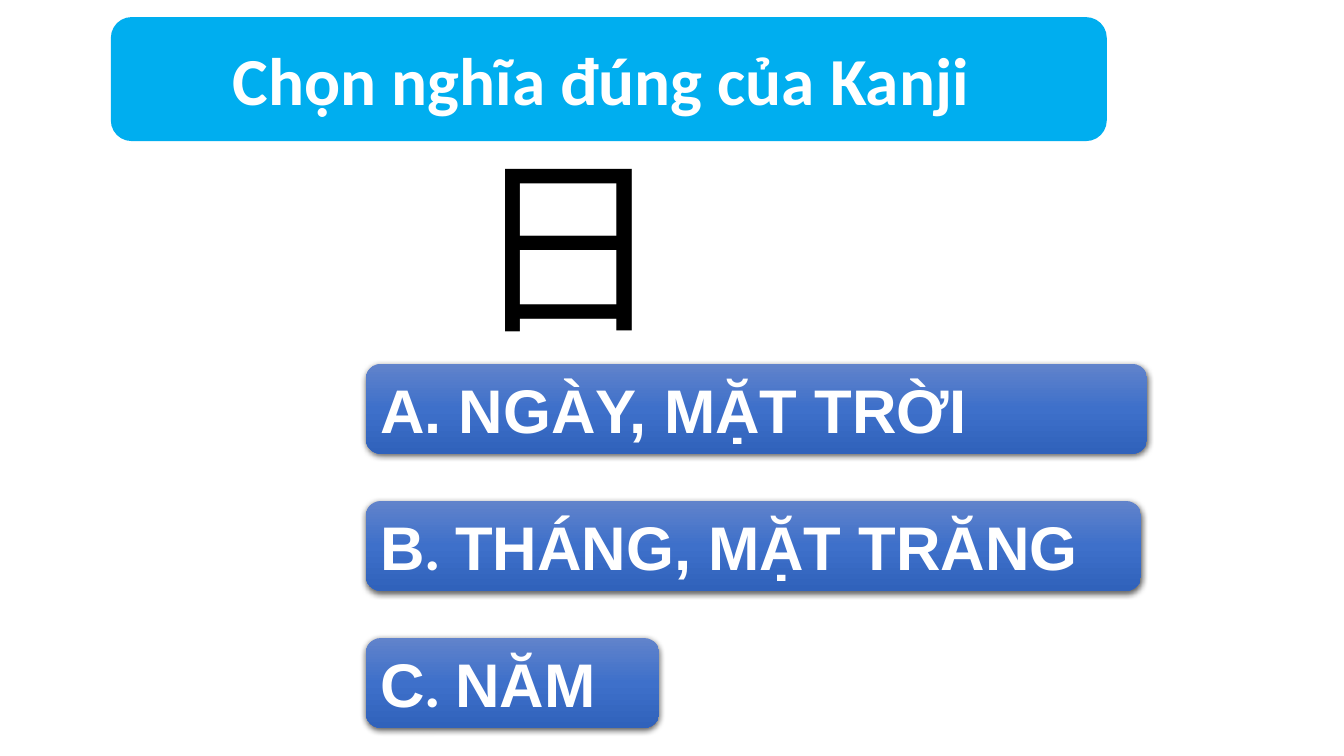
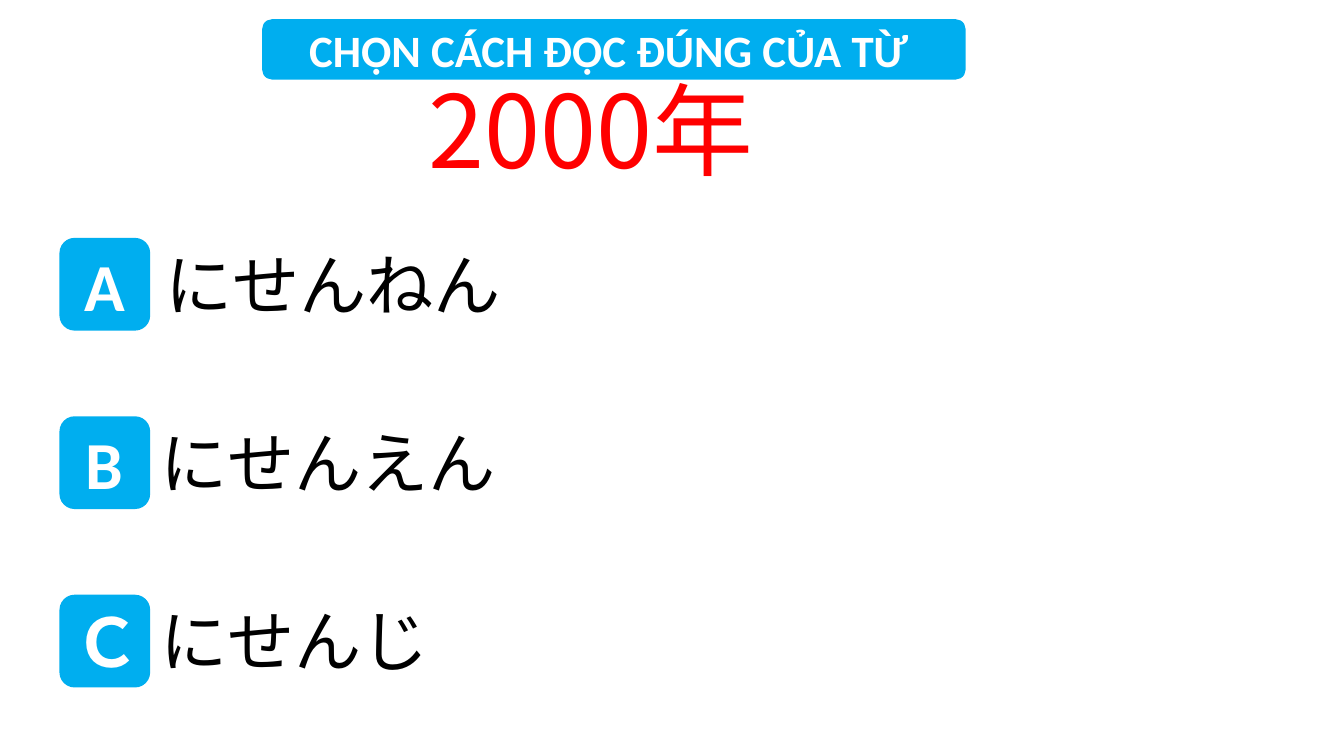
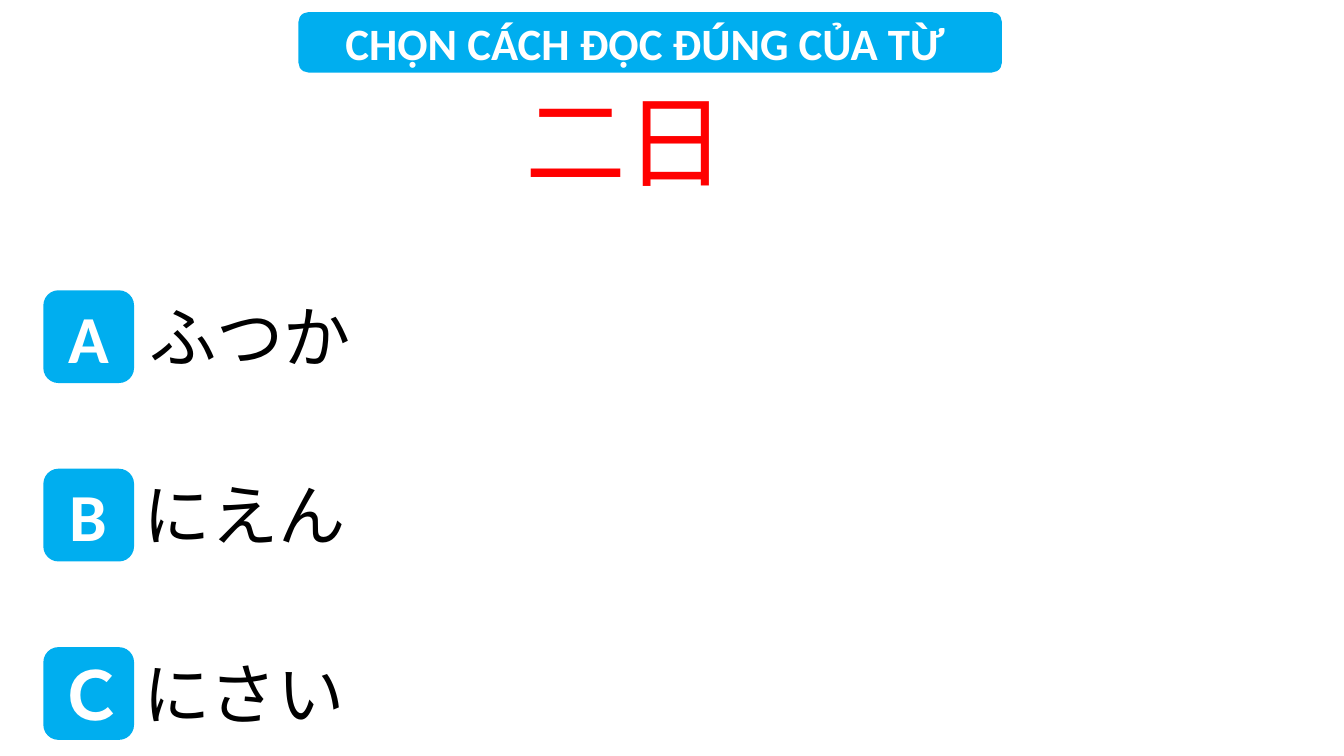
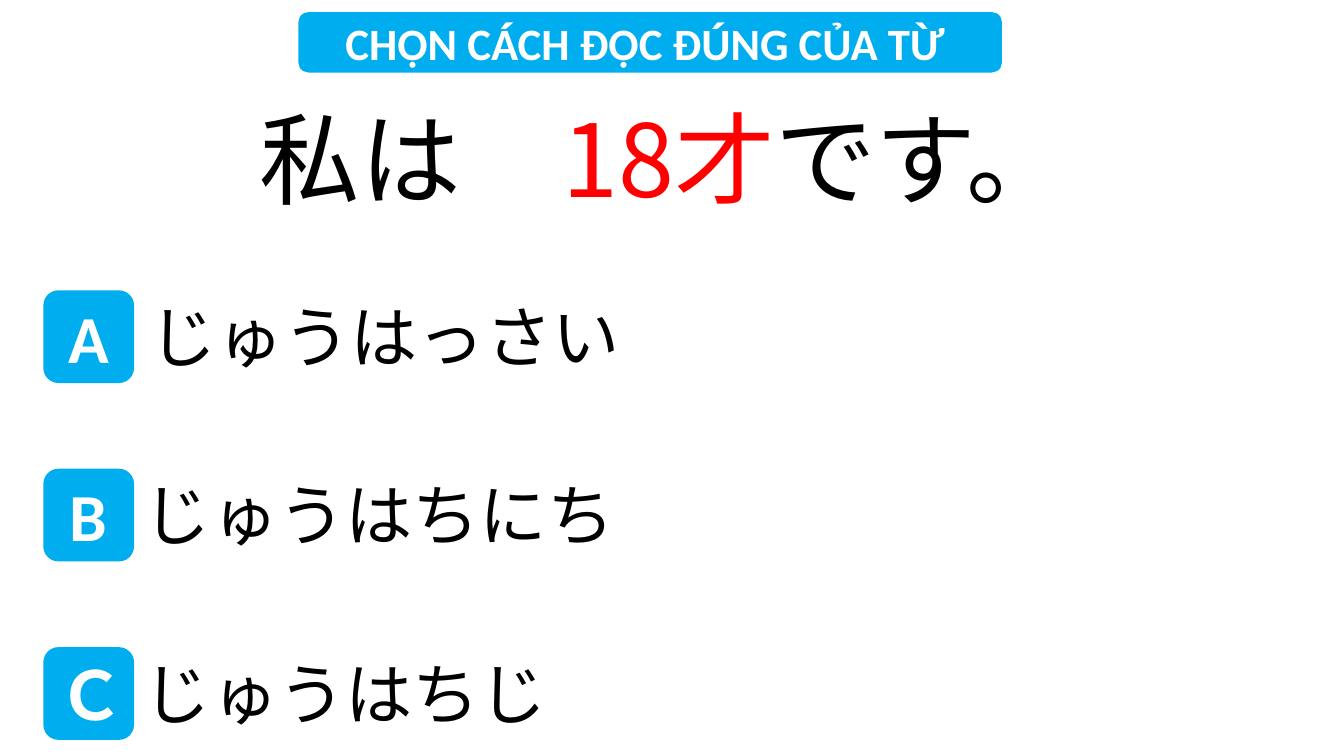
"""Build a four-slide Kanji quiz: one meaning question and three reading questions."""
from lxml import etree
from pptx import Presentation
from pptx import util as u
from pptx.dml.color import RGBColor
from pptx.enum import shapes, text
from pptx.oxml import parse_xml
from pptx.oxml.ns import nsdecls, qn

SKY = RGBColor(0x00, 0xAE, 0xEF)
WHITE = RGBColor(0xFF, 0xFF, 0xFF)
BLACK = RGBColor(0x00, 0x00, 0x00)
RED = RGBColor(0xFF, 0x00, 0x00)
BUTTON_STOPS = {
    0: RGBColor(0x61, 0x83, 0xCB),
    50: RGBColor(0x3E, 0x70, 0xCA),
    100: RGBColor(0x30, 0x62, 0xBB),
}
LATIN, BUTTON_FONT, JAPANESE = "Calibri", "Arial", "Noto Sans CJK JP"
ROUNDED = shapes.MSO_SHAPE.ROUNDED_RECTANGLE
LEFT, CENTRE = text.PP_ALIGN.LEFT, text.PP_ALIGN.CENTER
TOP, MIDDLE = text.MSO_ANCHOR.TOP, text.MSO_ANCHOR.MIDDLE

deck = Presentation()
deck.slide_width, deck.slide_height = u.Inches(13.33), u.Inches(7.5)
COLUMN, ROW = deck.slide_width / 40, deck.slide_height / 30


def cell(left, top, width, height):
    """Turn columns and rows of the grid into lengths."""
    return [int(left * COLUMN), int(top * ROW), int(width * COLUMN), int(height * ROW)]


def write(box, spans, size, name, colour, bold=False, align=LEFT, anchor=TOP):
    """Fill a box with one paragraph and return it."""
    frame = box.text_frame
    frame.word_wrap = True
    frame.auto_size = text.MSO_AUTO_SIZE.NONE
    frame.vertical_anchor = anchor
    para = frame.paragraphs[0]
    para.alignment = align
    font = para.font
    font.size, font.bold, font.name = u.Pt(size), bold, name
    font.color.rgb = colour
    etree.SubElement(font._element, qn("a:ea")).set("typeface", name)
    for words in spans:
        para.add_run().text = words
    return para


MEANING = ("Chọn nghĩa đúng của Kanji ", 48)
READING = ("CHỌN CÁCH ĐỌC ĐÚNG CỦA TỪ ", 32)
LOW_BAND = (8.88, 0.48, 20.94, 2.4)
questions = [
    (MEANING, (3.3, 0.68, 29.64, 4.92), ["日"], 138, BLACK, (13.74, 4.76, 6.24, 9.68)),
    (READING, (7.8, 0.76, 20.94, 2.4), ["2000年"], 72, RED, (12.45, 2.48, 20.79, 5.24)),
    (READING, LOW_BAND, ["二日"], 72, RED, (15.33, 2.92, 12.24, 5.24)),
    (READING, LOW_BAND, ["私は　", "18才", "です。"], 72, BLACK, (7.44, 3.64, 28.26, 5.24)),
]
pages = []
for (heading, heading_size), band_cell, word, word_size, colour, word_cell in questions:
    page = deck.slides.add_slide(deck.slide_layouts[5])
    pages.append(page)
    title = page.shapes.title
    title.left, title.top, title.width, title.height = cell(*band_cell)
    write(title, [heading], heading_size, LATIN, WHITE, True, CENTRE, MIDDLE)
    band = page.shapes.add_shape(ROUNDED, *cell(*band_cell))
    band.shadow.inherit = False
    band.fill.solid()
    band.fill.fore_color.rgb = SKY
    band.line.fill.background()
    title._element.addprevious(band._element)
    box = page.shapes.add_textbox(*cell(*word_cell))
    para = write(box, word, word_size, JAPANESE, colour)
    for span in para.runs[1:2]:
        span.font.color.rgb = RED

stops = "".join(
    f'<a:gs pos="{share * 1000}"><a:srgbClr val="{colour}"/></a:gs>'
    for share, colour in BUTTON_STOPS.items()
)
gradient = f'<a:gradFill {nsdecls("a")}><a:gsLst>{stops}</a:gsLst><a:lin ang="5400000"/></a:gradFill>'
shadow = (
    f'<a:outerShdw {nsdecls("a")} blurRad="{u.Pt(4.5)}" dist="{u.Pt(1.5)}" dir="5400000" rotWithShape="0">'
    f'<a:srgbClr val="{BLACK}"><a:alpha val="63000"/></a:srgbClr></a:outerShdw>'
)
options = [
    (["A. NGÀY, MẶT TRỜI"], 23.25),
    (["B", ". ", "THÁNG, MẶT TRĂNG"], 23.07),
    (["C", ". ", "NĂM"], 8.73),
]
for index, (spans, width) in enumerate(options):
    button = pages[0].shapes.add_shape(ROUNDED, *cell(10.89, 14.44 + 5.44 * index, width, 3.56))
    button.line.fill.background()
    button.shadow.inherit = False
    properties = button._element.spPr
    properties.find(qn("a:prstGeom")).addnext(parse_xml(gradient))
    properties.find(qn("a:effectLst")).append(parse_xml(shadow))
    para = write(button, spans, 44, BUTTON_FONT, WHITE, True, LEFT, MIDDLE)
    for span in para.runs[1:2]:
        span.font.name = LATIN

BADGE_WIDTH, BADGE_HEIGHT, PITCH = 2.7, 3.68, 7.08
readings = [
    (1.77, 9.44, ["にせんねん", "にせんえん", "にせんじ"], [13.8, 13.8, 13.8]),
    (1.29, 11.52, ["ふつか", "にえん", "にさい"], [13.8, 13.8, 13.8]),
    (1.29, 11.52, ["じゅうはっさい", "じゅうはちにち", "じゅうはちじ"], [21.84, 24.69, 13.8]),
]
for page, (left, top, answers, widths) in zip(pages[1:], readings):
    for index, (letter, answer, width) in enumerate(zip("ABＣ", answers, widths)):
        line_top = top + PITCH * index
        badge = page.shapes.add_shape(ROUNDED, *cell(left, line_top, BADGE_WIDTH, BADGE_HEIGHT))
        badge.shadow.inherit = False
        badge.fill.solid()
        badge.fill.fore_color.rgb = SKY
        badge.line.fill.background()
        write(badge, [letter], 48, LATIN, WHITE, True, CENTRE, MIDDLE)
        nudge = 0.15 if index == 0 else 0
        box = page.shapes.add_textbox(*cell(left + BADGE_WIDTH + nudge, line_top, width, 3.64))
        write(box, [answer], 48, JAPANESE, BLACK)

deck.save("out.pptx")
